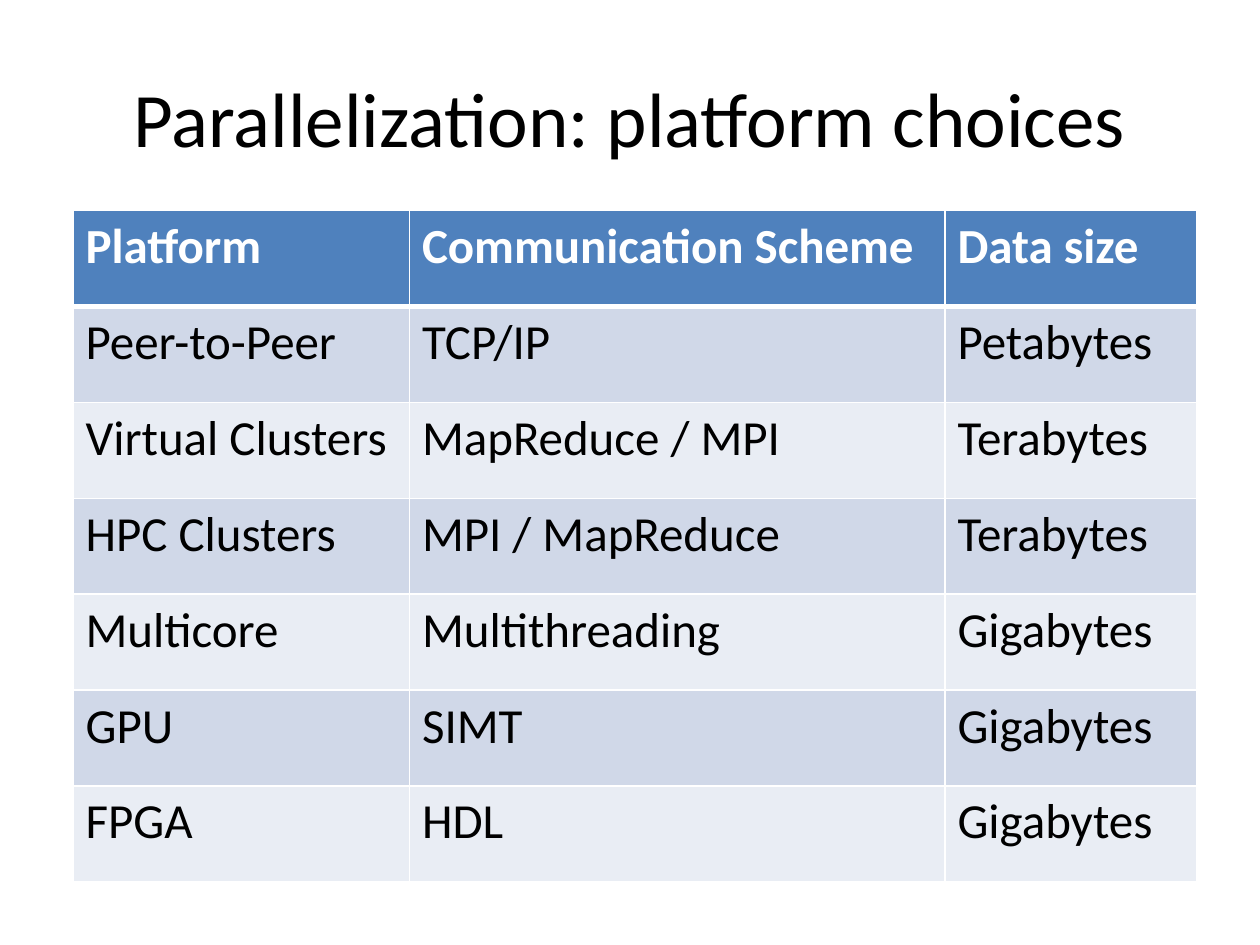
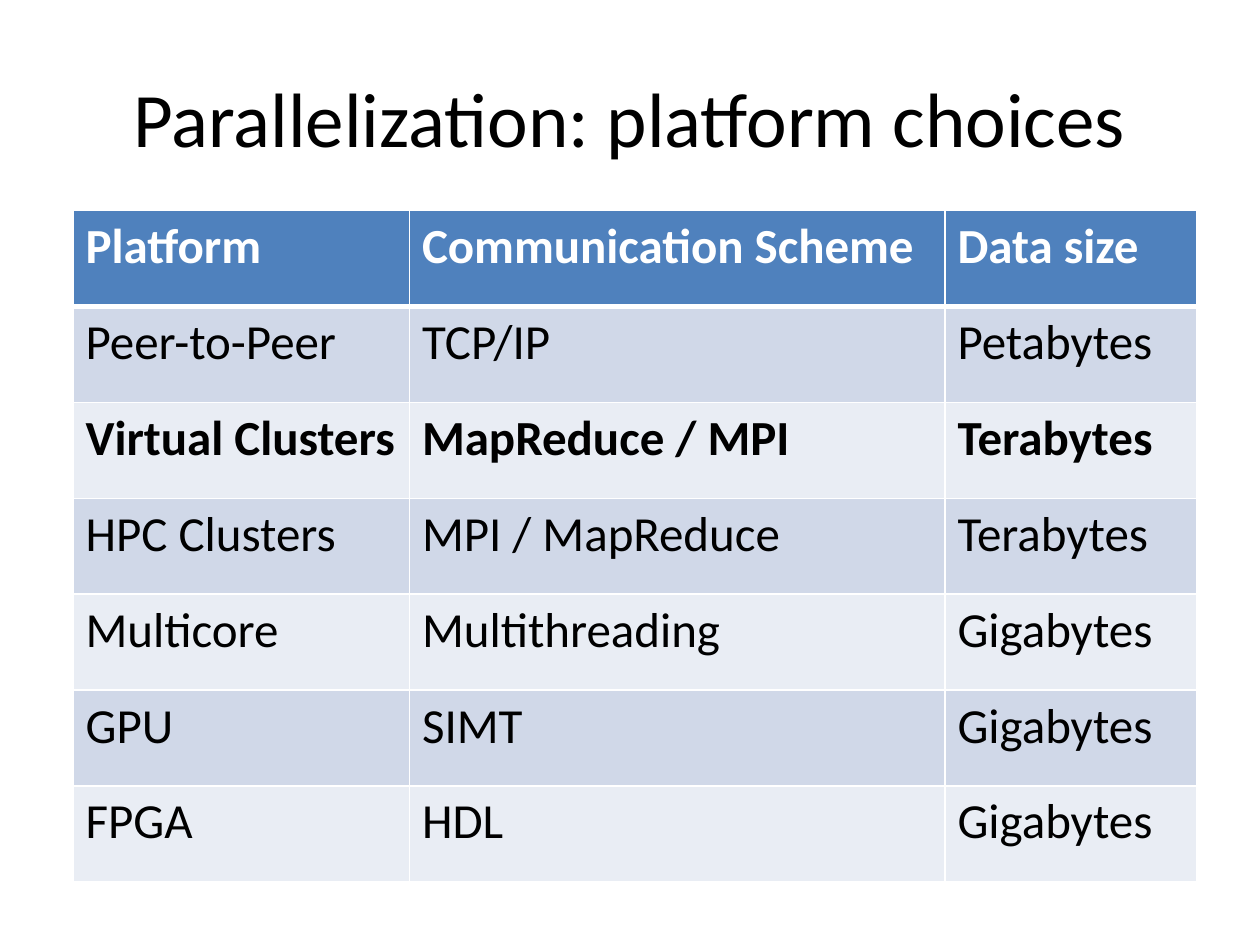
from lxml.etree import SubElement as Sub
from pptx import Presentation
from pptx.dml.color import RGBColor as Rgb
from pptx.enum.text import MSO_ANCHOR as Anchor, PP_ALIGN as Align
from pptx.oxml.ns import qn
from pptx.util import Inches, Pt

COLORS = {"head": "4F81BD", "odd": "D0D8E8", "even": "E9EDF4",
          "text": "000000", "white": "FFFFFF"}
FONT = "Calibri"
TITLE = "Parallelization: platform choices"
TITLE_BOX = (0.5, 0.3, 9, 1.25)
TABLE_BOX = (0.58, 1.67, 8.92, 5.33)
WIDTHS = (2.67, 4.25, 2)
ROWS = [
    ("Platform", "Communication Scheme", "Data size"),
    ("Peer-to-Peer", "TCP/IP", "Petabytes"),
    ("Virtual Clusters", "MapReduce / MPI", "Terabytes"),
    ("HPC Clusters", "MPI / MapReduce", "Terabytes"),
    ("Multicore", "Multithreading", "Gigabytes"),
    ("GPU", "SIMT", "Gigabytes"),
    ("FPGA", "HDL", "Gigabytes"),
]


def color(key):
    return Rgb.from_string(COLORS[key])


def add_run(para, text, size, key="text", bold=False):
    run = para.add_run()
    run.text = text
    font = run.font
    font.name, font.size, font.bold = FONT, Pt(size), bold
    font.color.rgb = color(key)


def add_title(slide, box):
    frame = slide.shapes.add_textbox(*map(Inches, box)).text_frame
    frame.word_wrap = True
    frame.vertical_anchor = Anchor.MIDDLE
    para = frame.paragraphs[0]
    para.alignment = Align.CENTER
    add_run(para, TITLE, 44)


def set_edges(cell, top, bottom):
    props = cell._tc.get_or_add_tcPr()
    for side, width in (("L", 1), ("R", 1), ("T", top), ("B", bottom)):
        line = Sub(props, qn(f"a:ln{side}"), w=str(Pt(width)))
        fill = Sub(line, qn("a:solidFill"))
        Sub(fill, qn("a:srgbClr"), val=COLORS["white"])


def add_grid(slide, box, strong):
    """Draw the platform table, with the row numbers in strong set bold."""
    frame = slide.shapes.add_table(len(ROWS), len(WIDTHS), *map(Inches, box))
    table = frame.table
    for col, width in zip(table.columns, WIDTHS):
        col.width = Inches(width)
    for i, texts in enumerate(ROWS):
        table.rows[i].height = Inches(box[3] / len(ROWS))
        band = "head" if i == 0 else "odd" if i % 2 else "even"
        for j, text in enumerate(texts):
            cell = table.cell(i, j)
            # A thick rule parts the header from the body
            set_edges(cell, 3 if i == 1 else 1, 3 if i == 0 else 1)
            cell.fill.solid()
            cell.fill.fore_color.rgb = color(band)
            add_run(cell.text_frame.paragraphs[0], text, 28,
                    "white" if i == 0 else "text", i in strong)


def add_slide(deck, strong):
    slide = deck.slides.add_slide(deck.slide_layouts[6])
    add_title(slide, TITLE_BOX)
    add_grid(slide, TABLE_BOX, strong)


def main():
    deck = Presentation()
    deck.slide_width, deck.slide_height = Inches(10), Inches(7.5)
    # The second slide stresses the virtual clusters
    for strong in ({0}, {0, 2}):
        add_slide(deck, strong)
    deck.save("out.pptx")


if __name__ == "__main__":
    main()
